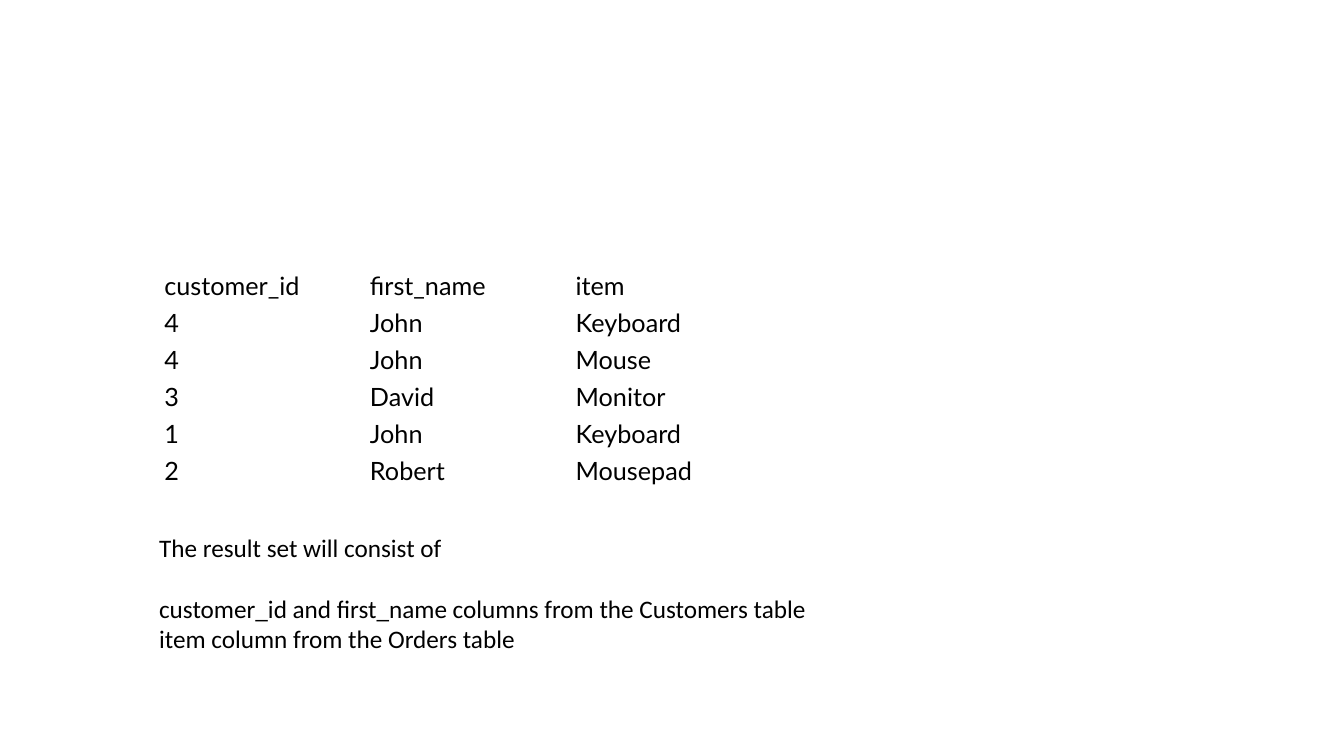
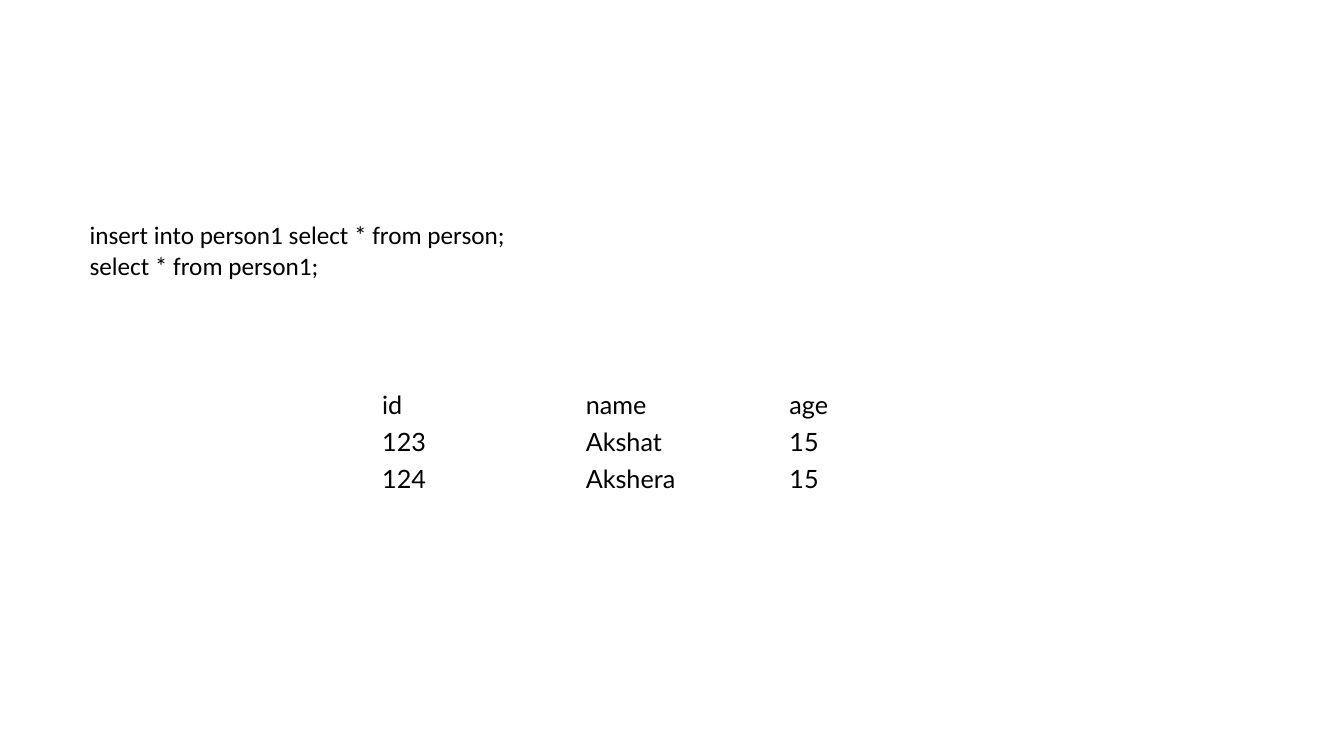
from pptx import Presentation
from pptx.dml.color import RGBColor
from pptx.enum.text import MSO_ANCHOR
from pptx.util import Inches, Pt

BLACK = RGBColor(0, 0, 0)
MIDDLE = MSO_ANCHOR.MIDDLE
SIZE = Pt(18)
ROW = 2.2 / 6
CELL = {
    "vertical_anchor": MIDDLE,
    "margin_left": Inches(0.15),
    "margin_right": Inches(0.15),
    "margin_top": Inches(0.03),
    "margin_bottom": Inches(0.03),
}

SLIDES = [
    {
        "grid": (1.48, 2.65, 2.04),
        "rows": [
            ("customer_id", "first_name", "item"),
            ("4", "John", "Keyboard"),
            ("4", "John", "Mouse"),
            ("3", "David", "Monitor"),
            ("1", "John", "Keyboard"),
            ("2", "Robert", "Mousepad"),
        ],
        "box": (1.48, 5.23, 7.77, 1.31),
        "lines": [
            ("The result set will consist of", 0),
            ("customer_id and first_name columns from the Customers table", 22),
            ("item column from the Orders table", 0),
        ],
    },
    {
        "grid": (3.64, 3.83, 2.02),
        "rows": [
            ("id", "name", "age"),
            ("123", "Akshat", "15"),
            ("124", "Akshera", "15"),
        ],
        "box": (0.79, 2.13, 10.77, 0.71),
        "lines": [
            ("insert into person1 select * from person;", 0),
            ("select * from person1;", 0),
        ],
    },
]


def write(para, text, face):
    run = para.add_run()
    run.text = text
    run.font.name = face
    run.font.size = SIZE
    run.font.color.rgb = BLACK


def add_grid(slide, place, rows):
    left, top, wide = place
    count = len(rows[0])
    frame = slide.shapes.add_table(
        len(rows), count, Inches(left), Inches(top),
        Inches(wide * count), Inches(ROW * len(rows)))
    table = frame.table
    table.first_row = False
    table.horz_banding = False
    for r, row in enumerate(rows):
        for c, text in enumerate(row):
            cell = table.cell(r, c)
            cell.fill.background()
            for name, value in CELL.items():
                setattr(cell, name, value)
            write(cell.text_frame.paragraphs[0], text, "Lato")


def add_lines(slide, place, lines):
    frame = slide.shapes.add_textbox(*map(Inches, place)).text_frame
    frame.word_wrap = True
    for i, (text, gap) in enumerate(lines):
        para = frame.add_paragraph() if i else frame.paragraphs[0]
        if gap:
            para.space_before = Pt(gap)
        write(para, text, "Calibri")


def main():
    deck = Presentation()
    deck.slide_width = Inches(13.33)
    deck.slide_height = Inches(7.5)
    for page in SLIDES:
        slide = deck.slides.add_slide(deck.slide_layouts[6])
        add_grid(slide, page["grid"], page["rows"])
        add_lines(slide, page["box"], page["lines"])
    deck.save("out.pptx")


if __name__ == "__main__":
    main()
